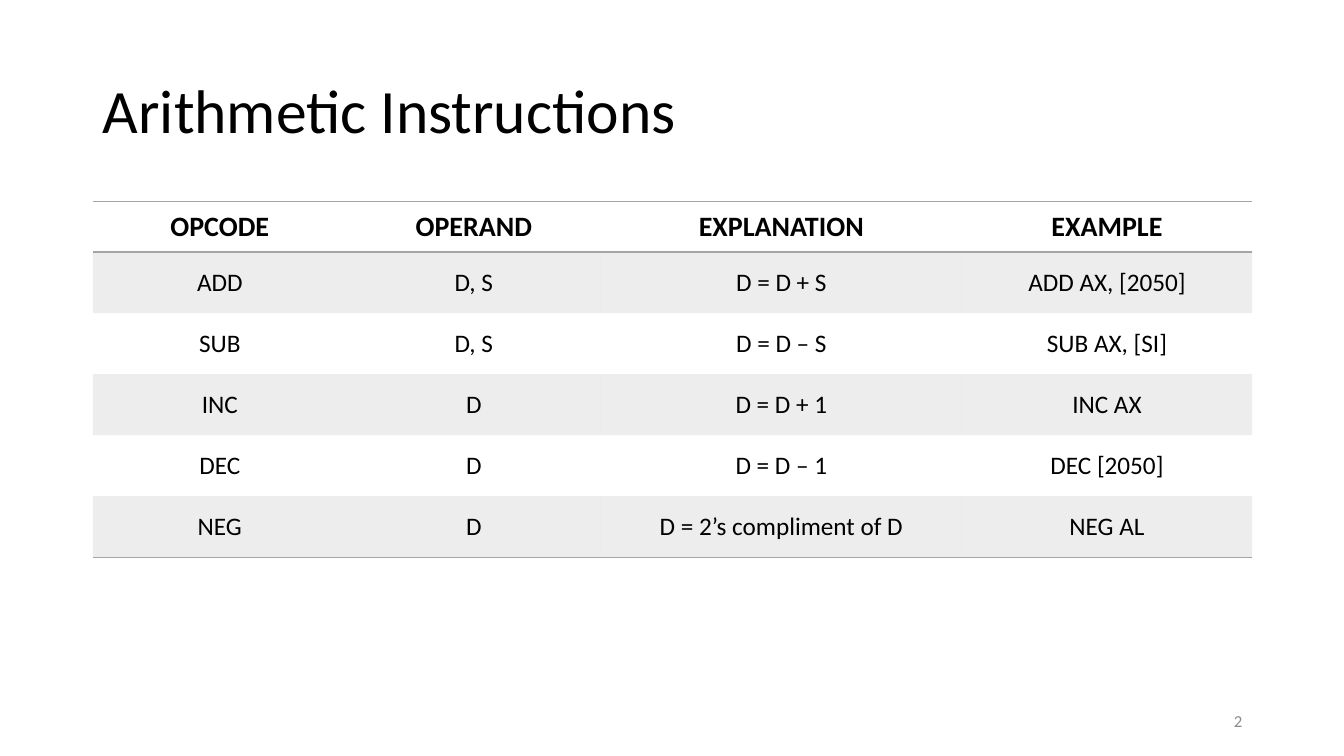
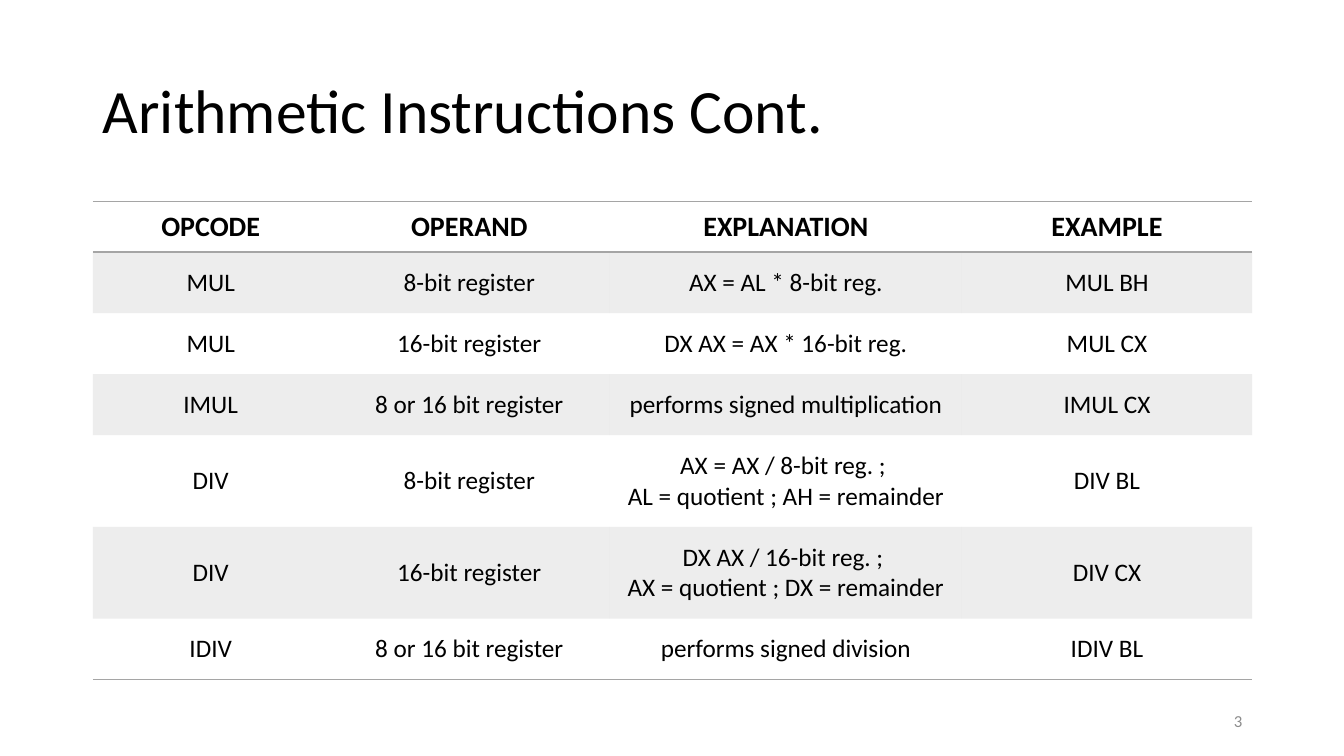
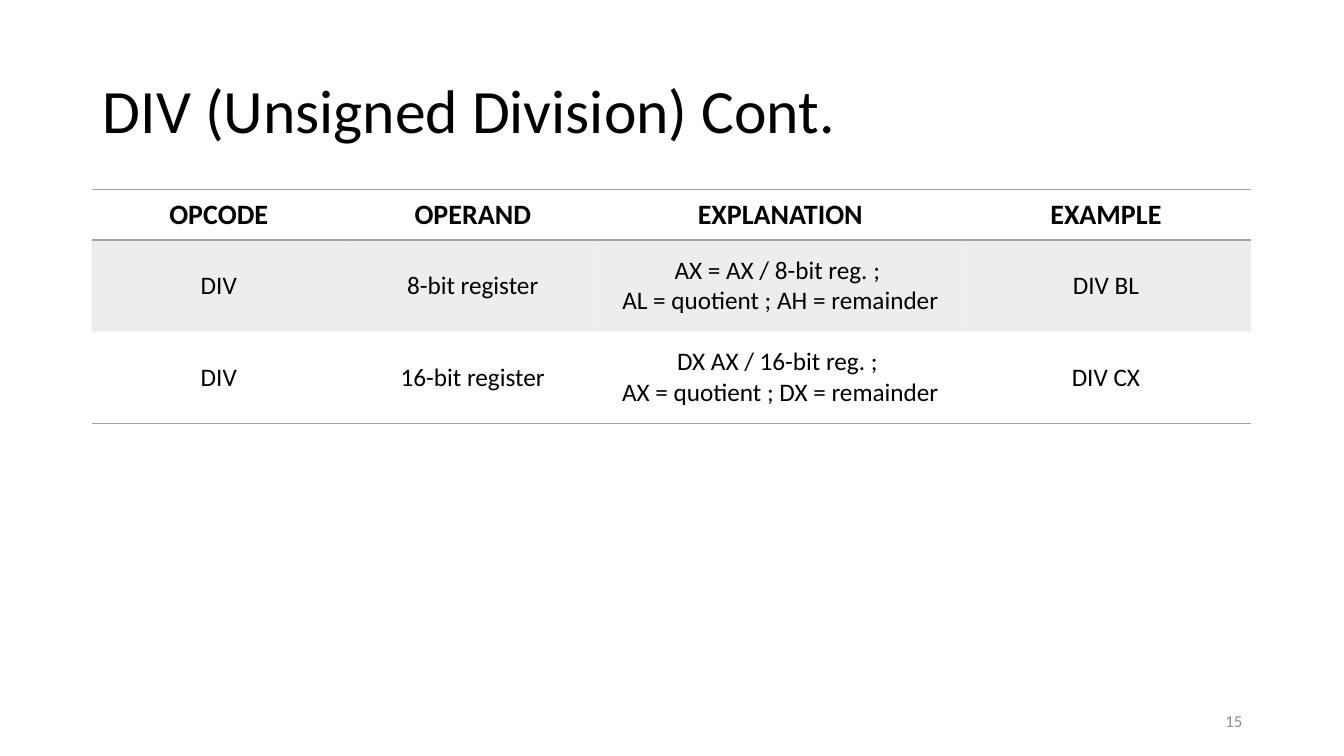
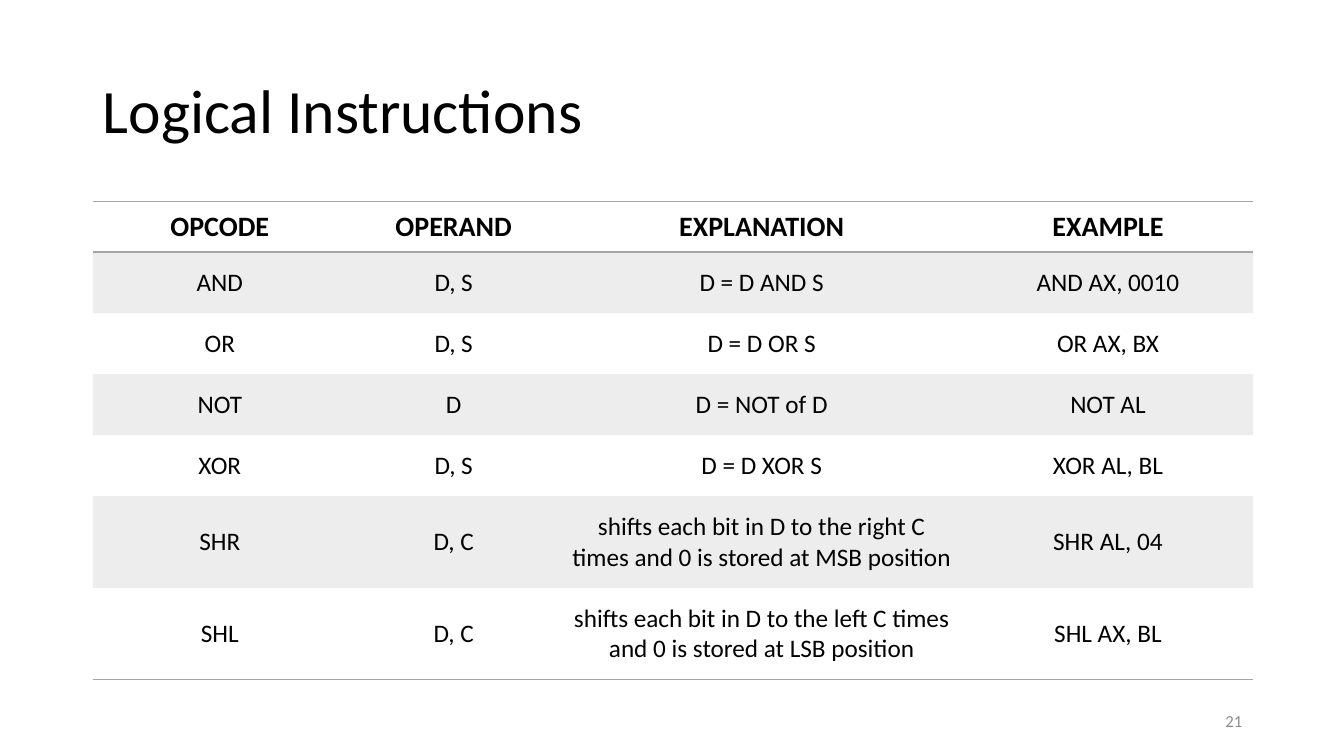
from dataclasses import dataclass

from lxml import etree
from pptx import Presentation
from pptx import util as u
from pptx.dml.color import RGBColor
from pptx.enum import text
from pptx.oxml import ns


@dataclass(frozen=True)
class Theme:
    font: str = "Calibri"
    ink: str = "000000"
    muted: str = "8C8C8C"
    gray: str = "A5A5A5"
    band_alpha: int = 20000
    title_size: int = 44
    header_size: int = 20
    body_size: int = 18
    number_size: int = 12
    rule_width: int = 1
    plain_table: str = "{2D5ABB26-0587-4C30-8999-92F81FD0307C}"


THEME = Theme()
LEFT, WIDTH = 0.92, 11.5
HEADER_HEIGHT, ROW_HEIGHT, TALL_HEIGHT = 0.5, 0.59, 0.89
WRAP_LENGTH = 40
HEADINGS = ("OPCODE", "OPERAND", "EXPLANATION", "EXAMPLE")
WIDE_COLUMNS = (2.52, 2.52, 3.58, 2.88)

DIV_ROWS = [
    ("DIV", "8-bit register",
     "AX = AX / 8-bit reg. ; \nAL = quotient ; AH = remainder", "DIV BL"),
    ("DIV", "16-bit register",
     "DX AX / 16-bit reg. ; \nAX = quotient ; DX = remainder", "DIV CX"),
]
ARITHMETIC_ROWS = [
    ("ADD", "D, S", "D = D + S", "ADD AX, [2050]"),
    ("SUB", "D, S", "D = D – S", "SUB AX, [SI]"),
    ("INC", "D", "D = D + 1", "INC AX"),
    ("DEC", "D", "D = D – 1", "DEC [2050]"),
    ("NEG", "D", "D = 2’s compliment of D", "NEG AL"),
]
MULTIPLY_DIVIDE_ROWS = [
    ("MUL", "8-bit register", "AX = AL * 8-bit reg.", "MUL BH"),
    ("MUL", "16-bit register", "DX AX = AX * 16-bit reg.", "MUL CX"),
    ("IMUL", "8 or 16 bit register", "performs signed multiplication", "IMUL CX"),
    *DIV_ROWS,
    ("IDIV", "8 or 16 bit register", "performs signed division", "IDIV BL"),
]
LOGICAL_ROWS = [
    ("AND", "D, S", "D = D AND S", "AND AX, 0010"),
    ("OR", "D, S", "D = D OR S", "OR AX, BX"),
    ("NOT", "D", "D = NOT of D", "NOT AL"),
    ("XOR", "D, S", "D = D XOR S", "XOR AL, BL"),
    ("SHR", "D, C",
     "shifts each bit in D to the right C times and 0 is stored at MSB position",
     "SHR AL, 04"),
    ("SHL", "D, C",
     "shifts each bit in D to the left C times and 0 is stored at LSB position",
     "SHL AX, BL"),
]


def format_text(frame, size, color, align, bold=False):
    for para in frame.paragraphs:
        para.alignment = align
        for span in para.runs:
            span.font.name = THEME.font
            span.font.size = u.Pt(size)
            span.font.bold = bold
            span.font.color.rgb = RGBColor.from_string(color)


def place(box, left, top, width, height):
    box.left, box.top = u.Inches(left), u.Inches(top)
    box.width, box.height = u.Inches(width), u.Inches(height)


def add_title(page, title):
    box = page.shapes.title
    place(box, LEFT, 0.4, WIDTH, 1.45)
    frame = box.text_frame
    frame.text = title
    frame.auto_size = text.MSO_AUTO_SIZE.NONE
    frame.vertical_anchor = text.MSO_ANCHOR.MIDDLE
    frame.paragraphs[0].line_spacing = 0.9
    format_text(frame, THEME.title_size, THEME.ink, text.PP_ALIGN.LEFT)


def add_page_number(page, number):
    box = page.shapes.add_textbox(
        u.Inches(9.42), u.Inches(6.95), u.Inches(3), u.Inches(0.4))
    frame = box.text_frame
    frame.word_wrap = True
    frame.vertical_anchor = text.MSO_ANCHOR.MIDDLE
    frame.text = str(number)
    format_text(frame, THEME.number_size, THEME.muted, text.PP_ALIGN.RIGHT)


def add_rule(cell, side):
    line = etree.SubElement(cell._tc.get_or_add_tcPr(), ns.qn(f"a:ln{side}"),
                            w=str(u.Pt(THEME.rule_width)))
    fill = etree.SubElement(line, ns.qn("a:solidFill"))
    etree.SubElement(fill, ns.qn("a:srgbClr"), val=THEME.gray)


def fill_band(cell):
    cell.fill.solid()
    cell.fill.fore_color.rgb = RGBColor.from_string(THEME.gray)
    color = cell._tc.tcPr.find(f".//{ns.qn('a:solidFill')}[last()]/..")
    color = cell._tc.tcPr.find(ns.qn("a:solidFill")).find(ns.qn("a:srgbClr"))
    etree.SubElement(color, ns.qn("a:alpha"), val=str(THEME.band_alpha))


def fill_cell(cell, words, header, banded, rules):
    cell.text = words
    cell.vertical_anchor = text.MSO_ANCHOR.MIDDLE
    side, end = (0.08, 0.08) if header else (0.1, 0.15)
    cell.margin_left = cell.margin_right = u.Inches(side)
    cell.margin_top = cell.margin_bottom = u.Inches(end)
    size = THEME.header_size if header else THEME.body_size
    format_text(cell.text_frame, size, THEME.ink, text.PP_ALIGN.CENTER, header)
    for rule in rules:
        add_rule(cell, rule)
    if banded:
        fill_band(cell)
    else:
        cell.fill.background()


def row_height(index, row):
    if index == 0:
        return HEADER_HEIGHT
    return TALL_HEIGHT if max(map(len, row)) > WRAP_LENGTH else ROW_HEIGHT


def add_instruction_table(page, rows, columns, left, top):
    rows = [HEADINGS, *rows]
    heights = [row_height(index, row) for index, row in enumerate(rows)]
    table = page.shapes.add_table(
        len(rows), len(columns), u.Inches(left), u.Inches(top),
        u.Inches(sum(columns)), u.Inches(sum(heights))).table
    table._tbl.tblPr.find(ns.qn("a:tableStyleId")).text = THEME.plain_table
    for column, width in zip(table.columns, columns):
        column.width = u.Inches(width)
    for index, (row, height) in enumerate(zip(rows, heights)):
        table.rows[index].height = u.Inches(height)
        header, last = index == 0, index == len(rows) - 1
        rules = "TB" if header else "B" if last else ""
        for cell, words in zip(table.rows[index].cells, row):
            fill_cell(cell, words, header, index % 2 == 1, rules)


def add_page(deck, title, number, rows, columns=WIDE_COLUMNS, left=LEFT, top=2):
    page = deck.slides.add_slide(deck.slide_layouts.get_by_name("Title Only"))
    add_title(page, title)
    add_instruction_table(page, rows, columns, left, top)
    add_page_number(page, number)


def main():
    deck = Presentation()
    deck.slide_width, deck.slide_height = u.Inches(13.33), u.Inches(7.5)
    add_page(deck, "Arithmetic Instructions", 2, ARITHMETIC_ROWS)
    add_page(deck, "Arithmetic Instructions Cont.", 3, MULTIPLY_DIVIDE_ROWS,
             columns=(2.34, 2.79, 3.49, 2.88))
    add_page(deck, "DIV (Unsigned Division) Cont.", 15, DIV_ROWS,
             left=0.91, top=1.88)
    add_page(deck, "Logical Instructions", 21, LOGICAL_ROWS,
             columns=(2.52, 2.12, 3.99, 2.88))
    deck.save("out.pptx")


if __name__ == "__main__":
    main()
